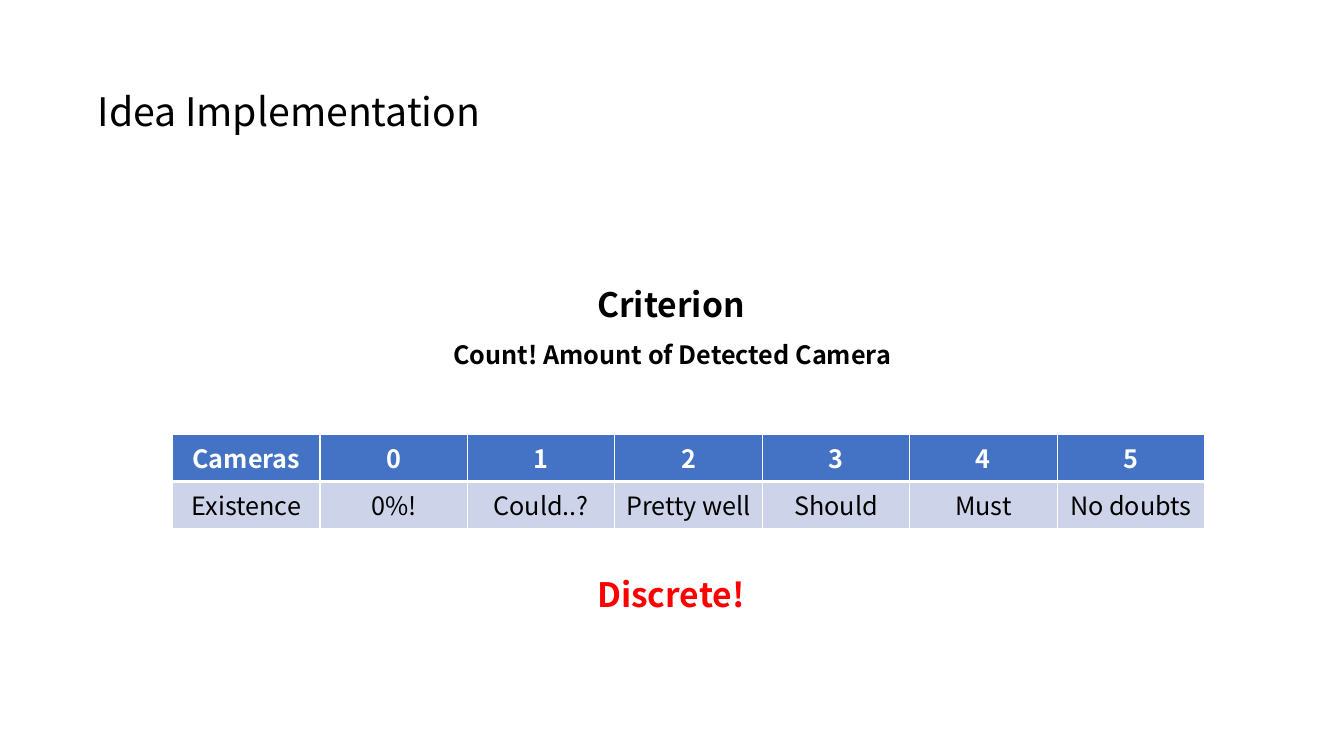
from lxml.etree import SubElement
from pptx import Presentation
from pptx.dml.color import RGBColor
from pptx.enum.text import MSO_ANCHOR as Anchor, MSO_AUTO_SIZE as AutoSize, PP_ALIGN as Align
from pptx.oxml.ns import qn
from pptx.util import Cm, Pt

FONT = "Noto Sans CJK KR"
COLORS = {
    "text": "000000",
    "accent": "FF0000",
    "header": "4472C4",
    "body": "CDD4EA",
    "white": "FFFFFF",
}
INSET = Cm(0.13)
RATINGS = [
    ("Cameras", "0", "1", "2", "3", "4", "5"),
    ("Existence", "0%!", "Could..?", "Pretty well", "Should", "Must", "No doubts"),
]


def color(name):
    return RGBColor.from_string(COLORS[name])


def format_text(paragraph, size, tone="text", bold=False, align=Align.LEFT):
    paragraph.alignment = align
    for run in paragraph.runs:
        run.font.name = FONT
        run.font.size = Pt(size)
        run.font.bold = bold
        run.font.color.rgb = color(tone)


def remove_bullet(paragraph):
    properties = paragraph._p.get_or_add_pPr()
    properties.set("marL", "0")
    properties.set("indent", "0")
    SubElement(properties, qn("a:buNone"))


def fill_line(holder, box, text, size, spacing=0.9, anchor=Anchor.TOP, **style):
    holder.left, holder.top, holder.width, holder.height = box
    frame = holder.text_frame
    frame.text = text
    frame.word_wrap = True
    frame.auto_size = AutoSize.NONE
    frame.vertical_anchor = anchor
    frame.margin_left = frame.margin_right = INSET
    frame.margin_top = frame.margin_bottom = INSET
    paragraph = frame.paragraphs[0]
    remove_bullet(paragraph)
    paragraph.line_spacing = spacing
    paragraph.space_before = Pt(0)
    format_text(paragraph, size, **style)


def add_title(slide, box):
    fill_line(slide.shapes.title, box, "Idea Implementation", 28, anchor=Anchor.MIDDLE)


def add_criterion(slide, box):
    left, top, width, height = box
    line_height = Cm(1.75)
    heading_box = (left + Cm(5.28), top, Cm(4.04), line_height)
    measure_box = (left, top + height - line_height, width, line_height)
    fill_line(slide.placeholders[1], heading_box, "Criterion", 24, bold=True)
    measure = slide.shapes.add_textbox(*measure_box)
    fill_line(measure, measure_box, "Count! Amount of Detected Camera", 18,
              spacing=0.81, bold=True, align=Align.CENTER)


def add_borders(cell, widths):
    properties = cell._tc.get_or_add_tcPr()
    for side, width in widths.items():
        line = SubElement(properties, qn(f"a:ln{side}"), w=str(Pt(width)))
        solid = SubElement(line, qn("a:solidFill"))
        SubElement(solid, qn("a:srgbClr"), val=COLORS["white"])


def add_ratings(slide, box):
    ratings = slide.shapes.add_table(len(RATINGS), len(RATINGS[0]), *box).table
    for row, labels in enumerate(RATINGS):
        header = row == 0
        for column, label in enumerate(labels):
            cell = ratings.cell(row, column)
            cell.text = label
            cell.margin_left = cell.margin_right = INSET
            cell.margin_top = cell.margin_bottom = INSET
            add_borders(cell, {"L": 1, "R": 1, "T": 1 if header else 3, "B": 3 if header else 1})
            cell.fill.solid()
            cell.fill.fore_color.rgb = color("header" if header else "body")
            format_text(cell.text_frame.paragraphs[0], 18,
                        "white" if header else "text", bold=header, align=Align.CENTER)


def add_conclusion(slide, box):
    conclusion = slide.shapes.add_textbox(*box)
    fill_line(conclusion, box, "Discrete!", 24, tone="accent", bold=True)


def main():
    deck = Presentation()
    deck.slide_width, deck.slide_height = Cm(33.87), Cm(19.05)
    slide = deck.slides.add_slide(deck.slide_layouts[1])
    add_title(slide, (Cm(2.33), Cm(1.02), Cm(29.21), Cm(3.68)))
    add_criterion(slide, (Cm(9.64), Cm(7.14), Cm(14.6), Cm(3.17)))
    add_ratings(slide, (Cm(4.35), Cm(10.95), Cm(26.01), Cm(2.06)))
    add_conclusion(slide, (Cm(14.92), Cm(14.45), Cm(4.04), Cm(1.75)))
    deck.save("out.pptx")


if __name__ == "__main__":
    main()
